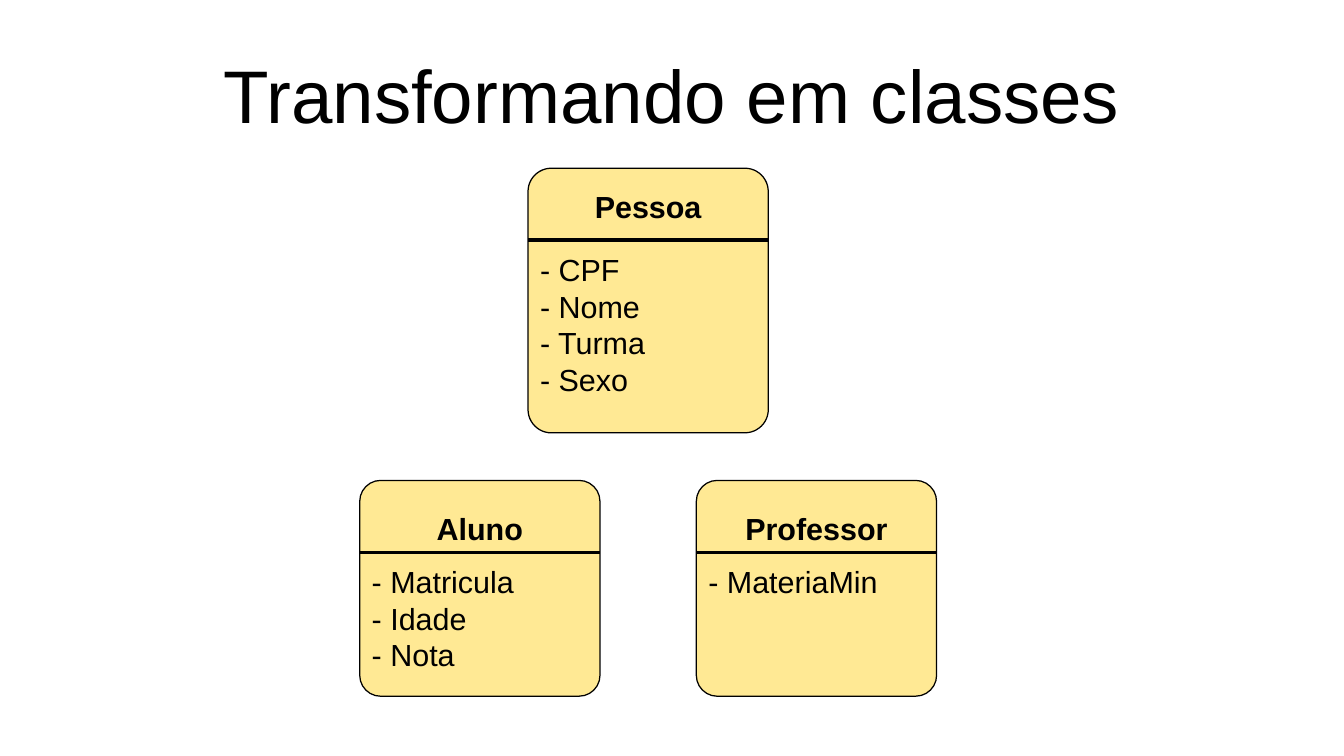
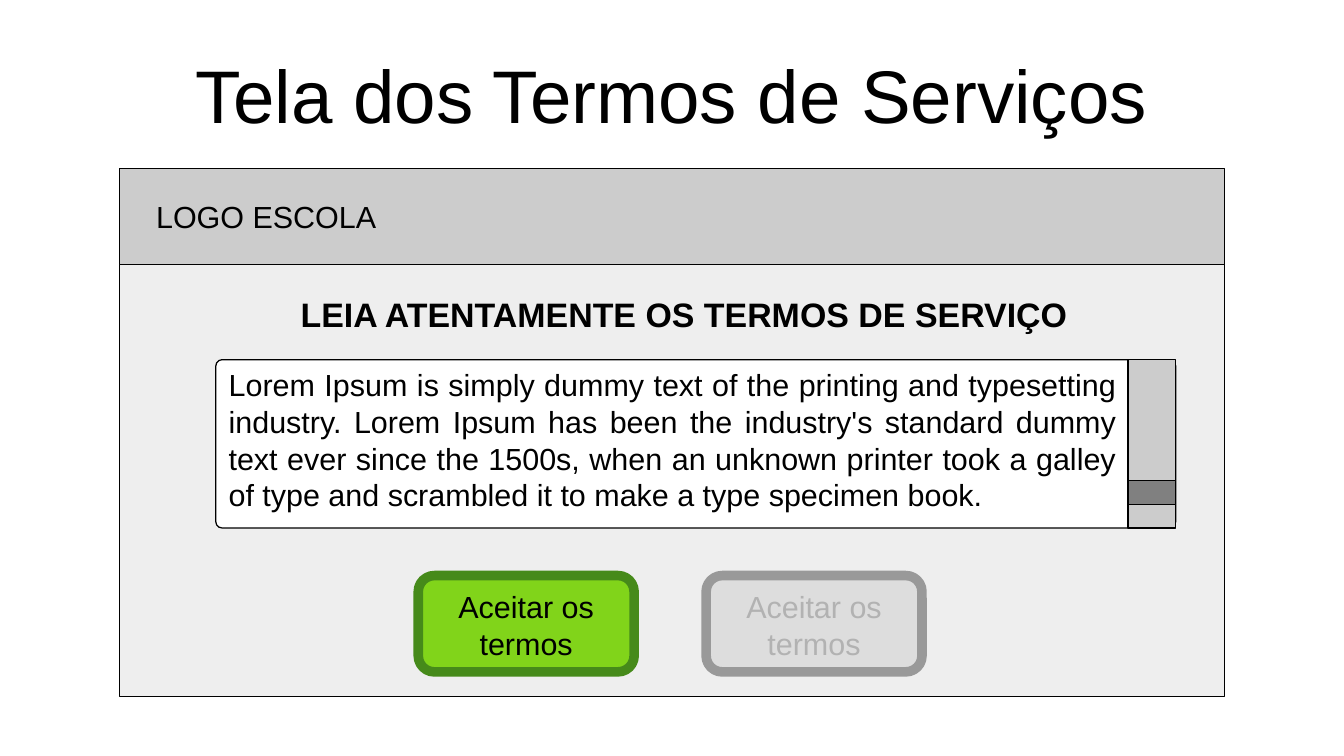
from pptx import Presentation
from pptx.dml.color import RGBColor
from pptx.enum.shapes import MSO_CONNECTOR, MSO_SHAPE
from pptx.enum.text import MSO_ANCHOR, PP_ALIGN
from pptx.oxml import parse_xml
from pptx.oxml.ns import nsdecls
from pptx.util import Inches, Pt

LEFT, CENTER, JUSTIFY = PP_ALIGN.LEFT, PP_ALIGN.CENTER, PP_ALIGN.JUSTIFY
TOP, MIDDLE = MSO_ANCHOR.TOP, MSO_ANCHOR.MIDDLE
RECT, ROUNDED = MSO_SHAPE.RECTANGLE, MSO_SHAPE.ROUNDED_RECTANGLE
STRAIGHT = MSO_CONNECTOR.STRAIGHT


class Theme:
    font = "Arial"
    title_size, heading_size, body_size = 44, 20, 18
    hairline, button_border = 0, 5.67
    ink, white = "000000", "FFFFFF"
    class_fill = "FFE994"
    page, band, thumb = "EEEEEE", "CCCCCC", "808080"
    accept, accept_border = "81D41A", "468A1A"
    disabled, disabled_border, disabled_text = "DDDDDD", "999999", "B2B2B2"


def write(shape, lines, size=Theme.body_size, bold=False, color=Theme.ink,
          align=LEFT, anchor=TOP, margins=(0.1, 0.05, 0.1, 0.05)):
    """Fill a shape or text box; margins are left, top, right, bottom in inches."""
    frame = shape.text_frame
    frame.word_wrap = True
    frame.vertical_anchor = anchor
    (frame.margin_left, frame.margin_top,
     frame.margin_right, frame.margin_bottom) = [Inches(m) for m in margins]
    for i, line in enumerate(lines):
        paragraph = frame.add_paragraph() if i else frame.paragraphs[0]
        paragraph.alignment = align
        run = paragraph.add_run()
        run.text = line
        run.font.name = Theme.font
        run.font.size = Pt(size)
        run.font.bold = bold
        run.font.color.rgb = RGBColor.from_string(color)


def add_box(slide, kind, place, fill, border=Theme.ink, weight=Theme.hairline, corner=None):
    """Add a filled, outlined shape; place is left, top, width, height in inches."""
    box = slide.shapes.add_shape(kind, *[Inches(v) for v in place])
    box.shadow.inherit = False
    box.fill.solid()
    box.fill.fore_color.rgb = RGBColor.from_string(fill)
    box.line.color.rgb = RGBColor.from_string(border)
    box.line.width = Pt(weight)
    if corner is not None:
        box.adjustments[0] = corner
    return box


prs = Presentation()
prs.slide_width, prs.slide_height = Inches(11.02), Inches(6.2)
blank = prs.slide_layouts[6]

# Slides and their shared title
slides = []
for title in ("Transformando em classes", "Tela dos Termos de Serviços"):
    slide = prs.slides.add_slide(blank)
    title_box = slide.shapes.add_textbox(Inches(0.55), Inches(0.25), Inches(9.92), Inches(1.04))
    write(title_box, [title], Theme.title_size, align=CENTER, anchor=MIDDLE, margins=(0, 0, 0, 0))
    slides.append(slide)
class_slide, terms_slide = slides

# Class diagram: name, left, top, height, offset of the name, attributes
CLASS_WIDTH, HEADER_HEIGHT = 1.97, 0.59
classes = [
    ("Pessoa", 4.33, 1.38, 2.17, 0.11, ["- CPF", "- Nome", "- Turma", "- Sexo"]),
    ("Aluno", 2.95, 3.94, 1.77, 0.19, ["- Matricula", "- Idade", "- Nota"]),
    ("Professor", 5.71, 3.94, 1.77, 0.19, ["- MateriaMin"]),
]
for name, left, top, height, name_offset, attributes in classes:
    add_box(class_slide, ROUNDED, (left, top, CLASS_WIDTH, height), Theme.class_fill, corner=0.097)

    divider_y = Inches(top + HEADER_HEIGHT)
    divider = class_slide.shapes.add_connector(
        STRAIGHT, Inches(left), divider_y, Inches(left + CLASS_WIDTH), divider_y)
    divider.line.color.rgb = RGBColor.from_string(Theme.ink)
    divider.line.width = Pt(Theme.hairline)
    divider.element.spPr.append(parse_xml(f"<a:effectLst {nsdecls('a')}/>"))

    name_box = class_slide.shapes.add_textbox(
        Inches(left), Inches(top + name_offset), Inches(CLASS_WIDTH), Inches(0.38))
    write(name_box, [name], bold=True, align=CENTER)
    attribute_box = class_slide.shapes.add_textbox(
        Inches(left), Inches(top + 0.63), Inches(CLASS_WIDTH), Inches(1.22))
    write(attribute_box, attributes)

# Terms screen: page and school band
add_box(terms_slide, RECT, (0.98, 2.17, 9.06, 3.54), Theme.page)
school_band = add_box(terms_slide, RECT, (0.98, 1.38, 9.06, 0.79), Theme.band)
write(school_band, ["LOGO ESCOLA"], margins=(0.3, 0.24, 0.1, 0.05))

heading = terms_slide.shapes.add_textbox(Inches(2.36), Inches(2.36), Inches(6.5), Inches(0.72))
write(heading, ["LEIA ATENTAMENTE OS TERMOS DE SERVIÇO"], Theme.heading_size, bold=True, align=CENTER)

# Terms panel with its scroll bar
terms_panel = add_box(terms_slide, ROUNDED, (1.77, 2.95, 7.87, 1.38), Theme.white, corner=0.037)
write(terms_panel, [
    "Lorem Ipsum is simply dummy text of the printing and typesetting industry. "
    "Lorem Ipsum has been the industry's standard dummy text ever since the 1500s, "
    "when an unknown printer took a galley of type and scrambled it to make a type "
    "specimen book."], align=JUSTIFY, margins=(0.09, 0.04, 0.47, 0.04))
for top, height, fill in ((2.95, 1.38, Theme.band), (3.94, 0.2, Theme.thumb)):
    add_box(terms_slide, RECT, (9.25, top, 0.39, height), fill)

# Enabled and disabled states of the accept button
button_states = [
    (3.43, Theme.accept, Theme.accept_border, Theme.ink),
    (5.79, Theme.disabled, Theme.disabled_border, Theme.disabled_text),
]
for left, fill, border, color in button_states:
    button = add_box(terms_slide, ROUNDED, (left, 4.72, 1.77, 0.79), fill, border,
                     Theme.button_border, corner=0.167)
    write(button, ["Aceitar os termos"], color=color, align=CENTER, anchor=MIDDLE,
          margins=(0.15, 0.02, 0.15, 0))

prs.save("out.pptx")
